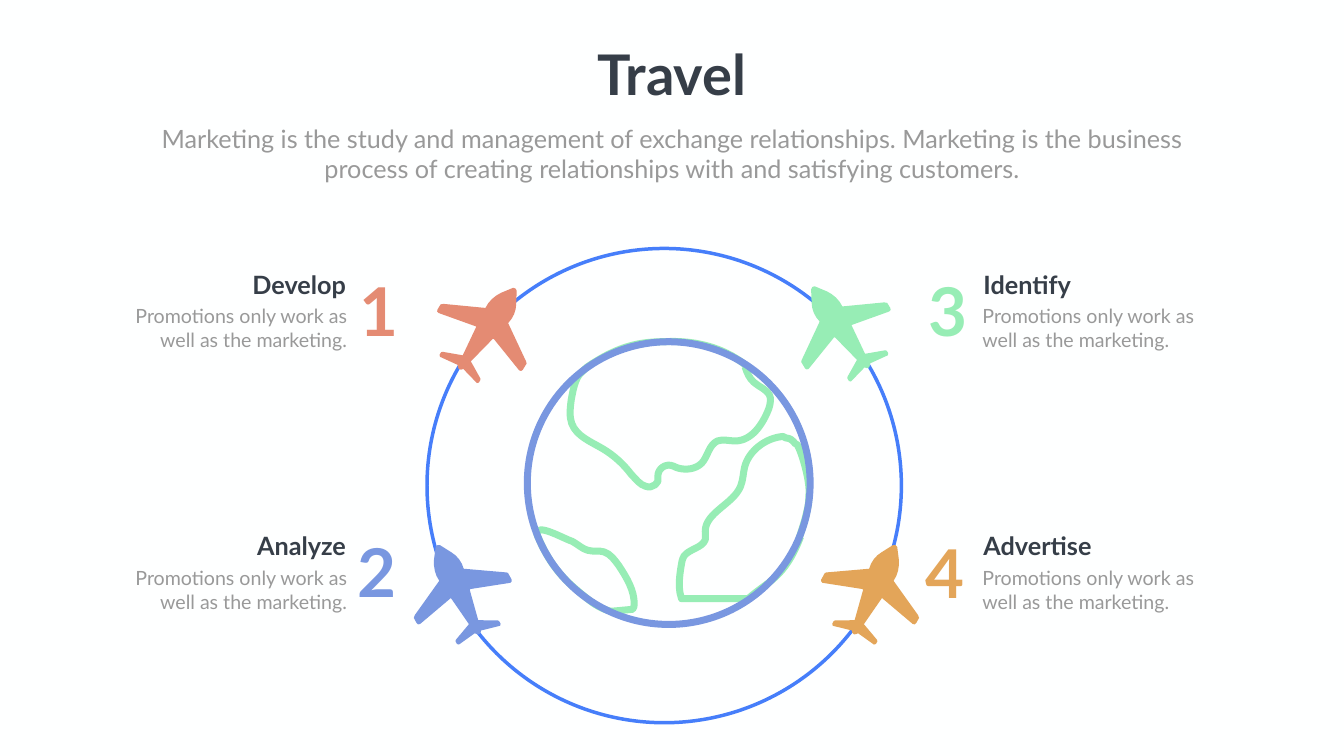
import math

import lxml.etree
import pptx
import pptx.dml.color
import pptx.enum.shapes
import pptx.enum.text
import pptx.oxml.ns
import pptx.util

SLIDE_W, SLIDE_H = 26.66, 15
FONT = "Lato"
DARK, GREY = "363E48", "999999"
GREEN, BLUE, CORAL, GOLD = "97EDB5", "7997E0", "E48B73", "E3A559"
ORBIT_BLUE, BACKGROUND = "467EFA", "FEFFFF"

TITLE = "Travel"
SUBTITLE = ("Marketing is the study and management of exchange relationships. "
            "Marketing is the business process of creating relationships "
            "with and satisfying customers.")
BODY = "Promotions only work as well as the marketing."

# number, heading, colour, left side?, row top, number (left, top), plane centre, plane turn
STEPS = [
    ("3", "Identify", GREEN, False, 5.29, (18.31, 5.3), (16.78, 6.67), 0),
    ("4", "Advertise", GOLD, False, 10.48, (18.26, 10.49), (17.25, 11.88), 60),
    ("1", "Develop", CORAL, True, 5.29, (7.03, 5.29), (9.56, 6.7), 0),
    ("2", "Analyze", BLUE, True, 10.48, (6.98, 10.48), (9.19, 11.88), 60),
]

# Outlines in inches: two numbers are a corner, six are a Bezier curve.
PLANE = [
    (.76, -.67), (-.07, -.59), (-.13, -.72, -.25, -.83, -.38, -.89), (-.62, -.99),
    (-.65, -1, -.69, -.96, -.69, -.93), (-.68, -.67),
    (-.68, -.53, -.62, -.39, -.52, -.29), (-.88, .48),
    (-.89, .5, -.89, .53, -.87, .54), (-.81, .64), (-.8, .67, -.76, .66, -.74, .65),
    (-.24, .03), (-.22, .02), (.22, .47), (.03, .81), (.03, .84), (.06, .89),
    (.07, .91, .09, .9, .1, .9), (.37, .62), (.4, .64, .43, .64, .46, .62),
    (.47, .6, .48, .57, .48, .54), (.83, .38), (.85, .37, .85, .36, .84, .34),
    (.81, .29), (.78, .28), (.38, .35), (.11, -.22), (.86, -.49),
    (.89, -.5, .9, -.54, .88, -.56), (.82, -.66), (.8, -.67, .78, -.68, .76, -.67),
]
AFRICA = [
    (15.88, 10.65), (15.56, 11.48, 15.23, 11.53, 14.84, 11.88), (13.52, 11.88),
    (13.51, 11.84, 13.5, 11.81, 13.49, 11.77), (13.46, 11.6, 13.48, 11.42, 13.51, 11.24),
    (13.52, 11.17, 13.53, 11.1, 13.57, 11.03), (13.68, 10.89, 13.93, 10.87, 13.99, 10.71),
    (14, 10.65, 13.99, 10.6, 13.99, 10.54), (13.99, 10.17, 14.55, 10, 14.69, 9.65),
    (14.74, 9.53, 14.74, 9.4, 14.77, 9.27), (14.85, 8.95, 15.18, 8.69, 15.53, 8.66),
    (15.59, 8.69), (15.67, 8.69, 15.73, 8.74, 15.78, 8.81),
    (15.82, 8.72, 16.05, 9.41, 16.05, 9.75), (16.04, 10.01, 16.04, 10.01, 16, 10.17),
    (15.97, 10.33, 15.86, 10.64, 15.84, 10.73),
]
NORTH_AMERICA = [
    (14.78, 7.28), (14.82, 7.4, 14.86, 7.5, 14.95, 7.58),
    (15.07, 7.69, 15.25, 7.74, 15.28, 7.89), (15.29, 7.97, 15.27, 8.05, 15.25, 8.11),
    (15.13, 8.42, 14.91, 8.75, 14.58, 8.75), (14.47, 8.75, 14.34, 8.71, 14.23, 8.75),
    (14.06, 8.83, 14.04, 9.06, 13.92, 9.19), (13.8, 9.31, 13.61, 9.33, 13.46, 9.29),
    (13.43, 9.28, 13.39, 9.27, 13.36, 9.25), (13.21, 9.18, 13.04, 9.3, 13.05, 9.46),
    (13.1, 9.58, 12.94, 9.7, 12.81, 9.65), (12.69, 9.62, 12.61, 9.5, 12.52, 9.41),
    (12.36, 9.2, 12.17, 9.03, 11.95, 8.9), (11.71, 8.76, 11.43, 8.65, 11.34, 8.4),
    (11.29, 8.26, 11.31, 8.1, 11.33, 7.94), (11.36, 7.78, 11.39, 7.59, 11.48, 7.45),
    (11.53, 7.39, 11.59, 7.33, 11.65, 7.28), (12.28, 6.85, 12.71, 6.78, 13.19, 6.78),
    (14.3, 6.72, 14.82, 7.29, 14.82, 7.27),
]
SOUTH_AMERICA = [
    (12.12, 12.13), (11.95, 12.09, 11.78, 11.99, 11.64, 11.87),
    (11.22, 11.53, 10.93, 11.28, 10.65, 10.6), (10.63, 10.36, 11.18, 10.69, 11.35, 10.74),
    (11.46, 10.8, 11.55, 10.89, 11.66, 10.92), (11.77, 10.95, 11.88, 10.92, 11.98, 10.95),
    (12.11, 10.99, 12.2, 11.12, 12.28, 11.23), (12.43, 11.46, 12.59, 11.72, 12.58, 12),
    (12.58, 12.03, 12.57, 12.06, 12.55, 12.09), (12.12, 12.13),
]
# left, top, diameter, colour, line width
ORBIT = (8.47, 4.93, 9.41, ORBIT_BLUE, 5)
GLOBE = (10.46, 6.78, 5.61, BLUE, 10)

Inches = pptx.util.Inches
ALIGN = pptx.enum.text.PP_ALIGN
qn = pptx.oxml.ns.qn


def rgb(value):
    return pptx.dml.color.RGBColor.from_string(value)


def paint(s, fill=None, line=None, width=0):
    s.shadow.inherit = False
    if fill:
        s.fill.solid()
        s.fill.fore_color.rgb = rgb(fill)
    else:
        s.fill.background()
    if line:
        s.line.color.rgb = rgb(line)
        s.line.width = pptx.util.Pt(width)
    else:
        s.line.fill.background()


def add_outline(slide, outline, close, place=lambda x, y: (x, y), **style):
    """Draw a freeform through the corners, then bend its curved segments."""
    parts = [[tuple(map(Inches, place(*part[i:i + 2]))) for i in range(0, len(part), 2)]
             for part in outline]
    builder = slide.shapes.build_freeform(*parts[0][0])
    builder.add_line_segments([part[-1] for part in parts[1:]], close=close)
    s = builder.convert_to_shape()
    segments = list(s._element.iter(qn("a:lnTo")))
    for segment, part in zip(segments, parts[1:]):
        if len(part) == 3:
            segment.tag = qn("a:cubicBezTo")
            segment.clear()
            for x, y in part:
                lxml.etree.SubElement(segment, qn("a:pt"), x=str(x - s.left), y=str(y - s.top))
    paint(s, **style)


def add_ring(slide, left, top, diameter, color, width):
    s = slide.shapes.add_shape(pptx.enum.shapes.MSO_SHAPE.OVAL, Inches(left), Inches(top),
                               Inches(diameter), Inches(diameter))
    paint(s, line=color, width=width)


def add_plane(slide, center, turn, mirrored, color):
    cos, sin = math.cos(math.radians(turn)), math.sin(math.radians(turn))
    side = -1 if mirrored else 1

    def place(x, y):
        return center[0] + side * (x * cos - y * sin), center[1] + x * sin + y * cos

    add_outline(slide, PLANE, True, place, fill=color)


def add_text(parent, box, text, size, color, align, bold=False, wrap=True):
    tf = parent.shapes.add_textbox(*map(Inches, box)).text_frame
    tf.word_wrap = wrap
    tf.auto_size = pptx.enum.text.MSO_AUTO_SIZE.SHAPE_TO_FIT_TEXT
    p = tf.paragraphs[0]
    p.alignment = align
    r = p.add_run()
    r.text = text
    r.font.name, r.font.size, r.font.bold = FONT, pptx.util.Pt(size), bold
    r.font.color.rgb = rgb(color)


def main():
    prs = pptx.Presentation()
    prs.slide_width, prs.slide_height = Inches(SLIDE_W), Inches(SLIDE_H)
    slide = prs.slides.add_slide(prs.slide_layouts[6])
    slide.background.fill.solid()
    slide.background.fill.fore_color.rgb = rgb(BACKGROUND)

    for land in (AFRICA, NORTH_AMERICA, SOUTH_AMERICA):
        add_outline(slide, land, land[0] == land[-1], line=GREEN, width=10)
    for ring in (ORBIT, GLOBE):
        add_ring(slide, *ring)

    add_text(slide, (11.65, .73, 3.36, 1.45), TITLE, 80, DARK, ALIGN.CENTER, True, False)
    add_text(slide, (2.68, 2.39, 21.3, 1.31), SUBTITLE, 36, GREY, ALIGN.CENTER)

    for number, heading, color, on_left, top, number_at, center, turn in STEPS:
        add_plane(slide, center, turn, on_left, color)
        add_text(slide, (*number_at, .98, 1.72), number, 96, color, ALIGN.CENTER, True, False)
        align = ALIGN.RIGHT if on_left else ALIGN.LEFT
        heading_left, body_left = (4.35, 2.04) if on_left else (19.41, 19.39)
        group = slide.shapes.add_group_shape()
        add_text(group, (heading_left, top, 2.61, .71), heading, 36, DARK, align, True)
        add_text(group, (body_left, top + .7, 4.94, 1.04), BODY, 28, GREY, align)

    prs.save("out.pptx")


if __name__ == "__main__":
    main()
